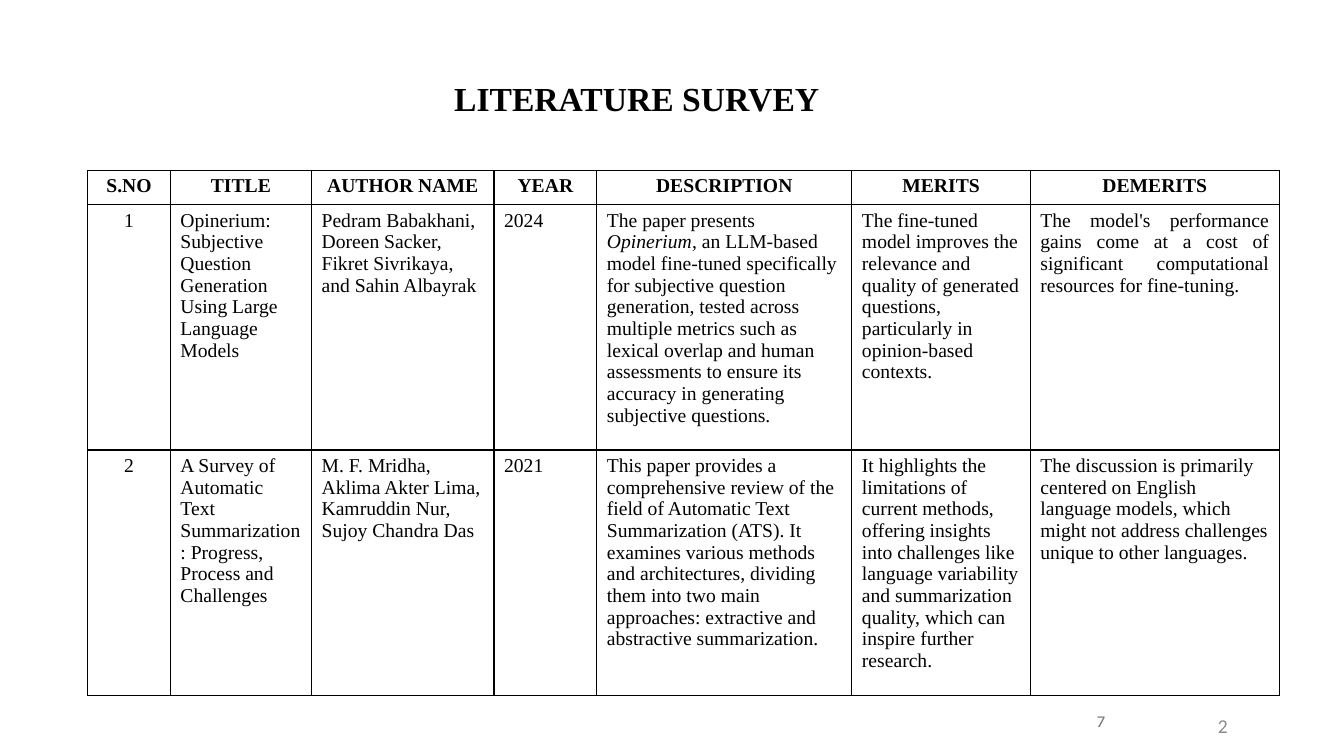
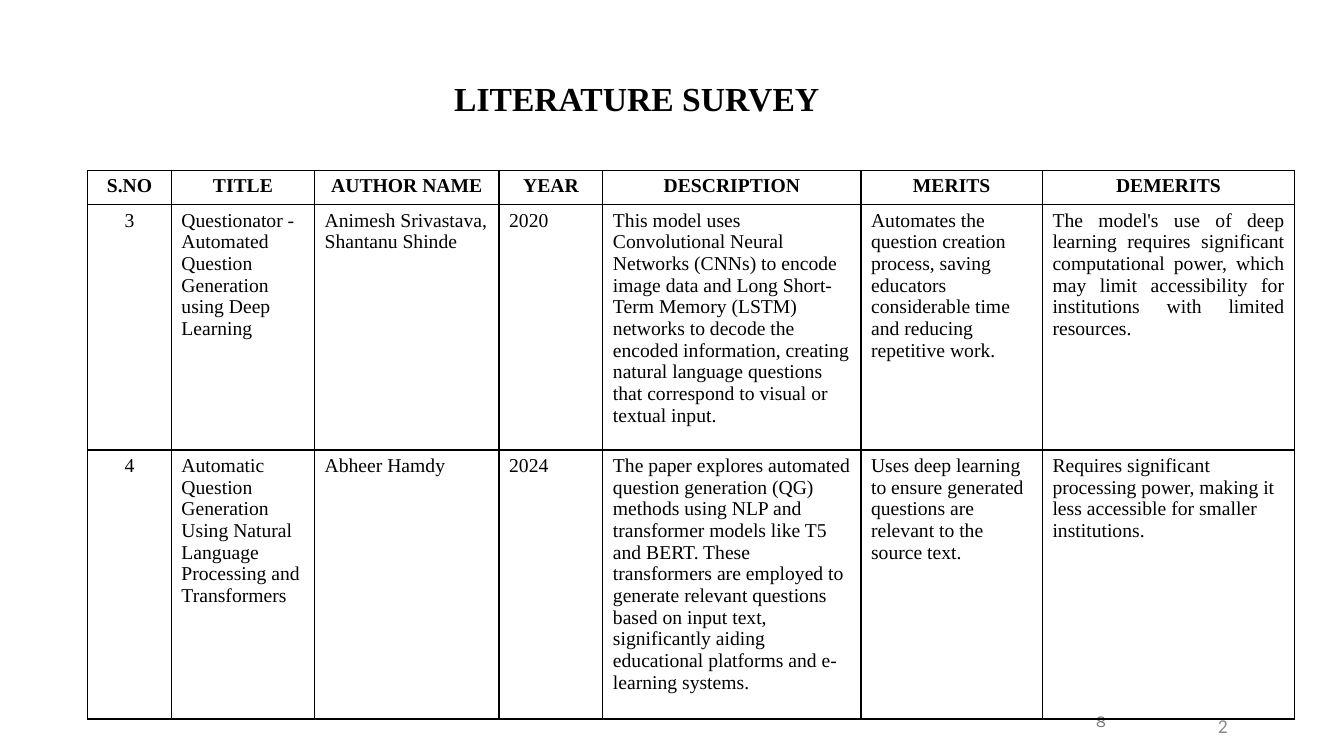
"""Build the two literature survey slides."""
from dataclasses import dataclass

from lxml import etree
from pptx import Presentation
from pptx.dml.color import RGBColor
from pptx.enum.text import MSO_ANCHOR, PP_ALIGN
from pptx.oxml.ns import qn
from pptx.util import Inches, Pt


@dataclass(frozen=True)
class Theme:
    ink: str = "000000"
    page_grey: str = "797979"
    footer_grey: str = "8B8B8B"
    serif: str = "Times New Roman"
    page_font: str = "Karla"
    footer_font: str = "Calibri"
    title_size: int = 24
    body_size: int = 14
    page_size: int = 12
    rule_width: int = 1


THEME = Theme()
HEADINGS = ["S.NO", "TITLE", "AUTHOR NAME", "YEAR", "DESCRIPTION", "MERITS", "DEMERITS"]
SURVEYS = [
    {
        "page": "7",
        "widths": [0.82, 1.4, 1.81, 1.02, 2.53, 1.77, 2.47],
        "heights": [0.34, 2.43, 2.43],
        "papers": [
            [
                "1",
                "Opinerium: Subjective Question Generation Using Large Language Models",
                "Pedram Babakhani, Doreen Sacker, Fikret Sivrikaya, and Sahin Albayrak",
                "2024",
                "The paper presents *Opinerium*, an LLM-based model fine-tuned specifically for "
                "subjective question generation, tested across multiple metrics such as lexical "
                "overlap and human assessments to ensure its accuracy in generating subjective "
                "questions.",
                "The fine-tuned model improves the relevance and quality of generated questions, "
                "particularly in opinion-based contexts.",
                "The model's performance gains come at a cost of significant computational "
                "resources for fine-tuning.",
            ],
            [
                "2",
                "A Survey of Automatic Text Summarization: Progress, Process and Challenges",
                "M. F. Mridha, Aklima Akter Lima, Kamruddin Nur, Sujoy Chandra Das",
                "2021",
                "This paper provides a comprehensive review of the field of Automatic Text "
                "Summarization (ATS). It examines various methods and architectures, dividing "
                "them into two main approaches: extractive and abstractive summarization.",
                "It highlights the limitations of current methods, offering insights into "
                "challenges like language variability and summarization quality, which can "
                "inspire further research.",
                "The discussion is primarily centered on English language models, which might "
                "not address challenges unique to other languages.",
            ],
        ],
    },
    {
        "page": "8",
        "widths": [0.83, 1.42, 1.83, 1.03, 2.56, 1.8, 2.5],
        "heights": [0.34, 2.43, 2.66],
        "papers": [
            [
                "3",
                "Questionator - Automated Question Generation using Deep Learning",
                "Animesh Srivastava, Shantanu Shinde",
                "2020",
                "This model uses Convolutional Neural Networks (CNNs) to encode image data and "
                "Long Short-Term Memory (LSTM) networks to decode the encoded information, "
                "creating natural language questions that correspond to visual or textual input.",
                "Automates the question creation process, saving educators considerable time "
                "and reducing repetitive work.",
                "The model's use of deep learning requires significant computational power, "
                "which may limit accessibility for institutions with limited resources.",
            ],
            [
                "4",
                "Automatic Question Generation Using Natural Language Processing and Transformers",
                "Abheer Hamdy",
                "2024",
                "The paper explores automated question generation (QG) methods using NLP and "
                "transformer models like T5 and BERT. These transformers are employed to "
                "generate relevant questions based on input text, significantly aiding "
                "educational platforms and e-learning systems.",
                "Uses deep learning to ensure generated questions are relevant to the source text.",
                "Requires significant processing power, making it less accessible for smaller "
                "institutions.",
            ],
        ],
    },
]


def write(frame, text, align, font, size, color, bold=False):
    """Fill a text frame; text between asterisks is italic."""
    paragraph = frame.paragraphs[0]
    paragraph.alignment = align
    for index, part in enumerate(text.split("*")):
        run = paragraph.add_run()
        run.text = part
        run.font.name = font
        run.font.size = Pt(size)
        run.font.color.rgb = RGBColor.from_string(color)
        run.font.bold = bold
        run.font.italic = index % 2 == 1
    return paragraph


def rule_cell(cell):
    """Draw all four borders of a table cell and clear its fill."""
    properties = cell._tc.get_or_add_tcPr()
    for side in ("a:lnL", "a:lnR", "a:lnT", "a:lnB"):
        line = etree.SubElement(properties, qn(side), w=str(Pt(THEME.rule_width)))
        solid = etree.SubElement(line, qn("a:solidFill"))
        etree.SubElement(solid, qn("a:srgbClr"), val=THEME.ink)
    cell.fill.background()


prs = Presentation()
prs.slide_width = Inches(13.33)
prs.slide_height = Inches(7.5)

for survey in SURVEYS:
    slide = prs.slides.add_slide(prs.slide_layouts[6])
    labels = [
        ((1.17, 0.19, 10.29, 1.04), MSO_ANCHOR.BOTTOM, "LITERATURE SURVEY",
         PP_ALIGN.CENTER, THEME.serif, THEME.title_size, THEME.ink, True),
        ((9.42, 6.95, 3, 0.4), MSO_ANCHOR.MIDDLE, survey["page"],
         PP_ALIGN.CENTER, THEME.page_font, THEME.page_size, THEME.page_grey, False),
        ((11.98, 7.03, 0.24, 0.34), MSO_ANCHOR.TOP, "2",
         PP_ALIGN.LEFT, THEME.footer_font, THEME.body_size, THEME.footer_grey, False),
    ]
    for place, anchor, *content in labels:
        frame = slide.shapes.add_textbox(*map(Inches, place)).text_frame
        frame.word_wrap = True
        frame.vertical_anchor = anchor
        label = write(frame, *content)
        if anchor == MSO_ANCHOR.BOTTOM:
            label.line_spacing = 0.9

    widths, heights = survey["widths"], survey["heights"]
    table = slide.shapes.add_table(
        len(heights), len(widths), Inches(0.87), Inches(1.69),
        Inches(sum(widths)), Inches(sum(heights))).table
    table.horz_banding = False
    for column, width in zip(table.columns, widths):
        column.width = Inches(width)
    for row, height in zip(table.rows, heights):
        row.height = Inches(height)

    for r, entries in enumerate([HEADINGS, *survey["papers"]]):
        for c, entry in enumerate(entries):
            if r == 0 or c == 0:
                align = PP_ALIGN.CENTER
            elif r == 1 and c == len(HEADINGS) - 1:
                align = PP_ALIGN.JUSTIFY
            else:
                align = PP_ALIGN.LEFT
            cell = table.cell(r, c)
            rule_cell(cell)
            write(cell.text_frame, entry, align, THEME.serif, THEME.body_size,
                  THEME.ink, bold=r == 0)

prs.save("out.pptx")
